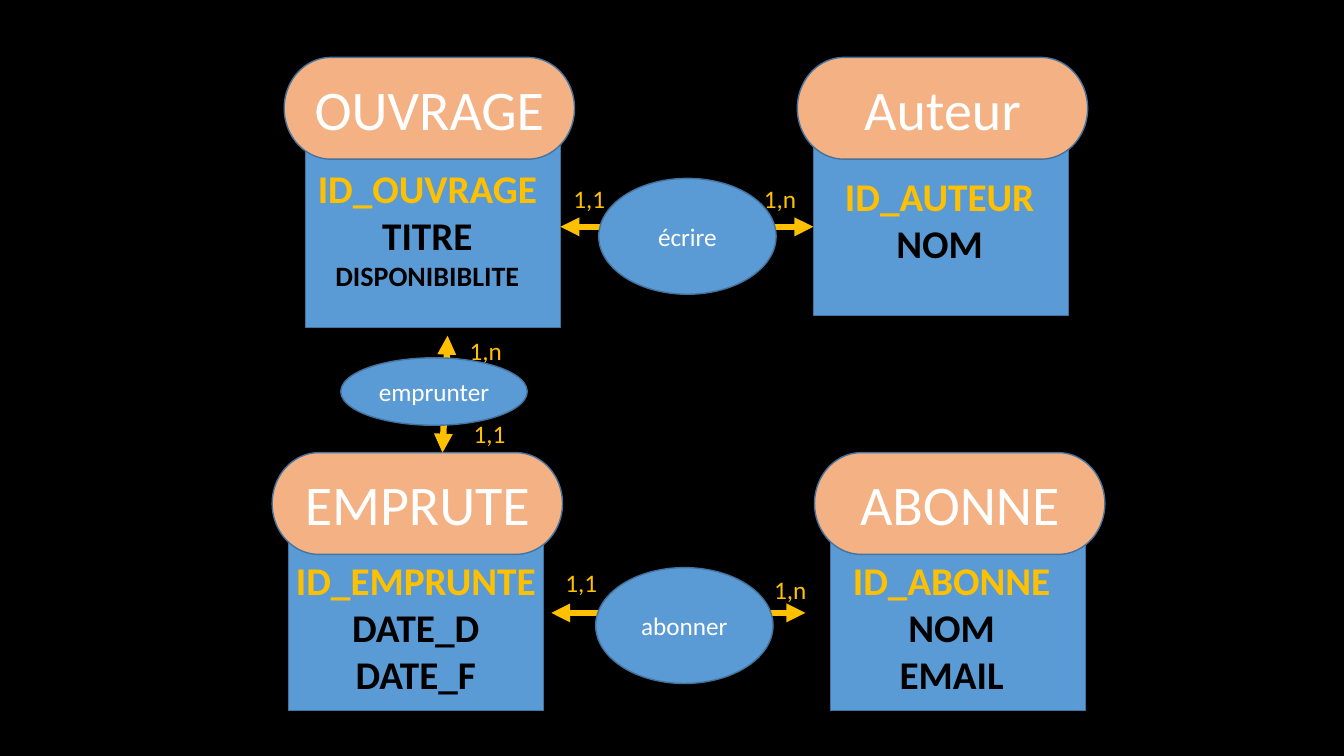
from lxml import etree
from pptx import Presentation
from pptx import util as u
from pptx.dml.color import RGBColor
from pptx.enum import shapes, text
from pptx.oxml import ns

COLOURS = {
    "night": "000000",
    "blue": "5B9BD5",
    "edge": "43739E",
    "peach": "F4B183",
    "gold": "FFC000",
    "white": "FFFFFF",
}
CAP_SIZE = (207.4, 72.7)
BODY_SIZE = (182.2, 174.2)
LABEL_SIZE = (95.8, 28.8)

ENTITIES = [
    {"name": "Auteur", "cap": (569.5, 41), "body": (581, 51.1),
     "area": (592.6, 119.5, 157, 74.9),
     "fields": [("ID_AUTEUR", 28), ("NOM", 28)]},
    {"name": "OUVRAGE", "cap": (203, 41), "body": (218.2, 59.8),
     "area": (216.7, 113.8, 177.1, 99.4),
     "fields": [("ID_OUVRAGE", 28), ("TITRE", 28), ("DISPONIBIBLITE", 20)]},
    {"name": "ABONNE", "cap": (581.8, 323.3), "body": (593.3, 333.4),
     "area": (601.2, 393.8, 157, 108.7),
     "fields": [("ID_ABONNE", 28), ("NOM", 28), ("EMAIL", 28)]},
    {"name": "EMPRUTE", "cap": (194.4, 323.3), "body": (205.9, 333.4),
     "area": (199.4, 393.8, 195.1, 108.7),
     "fields": [("ID_EMPRUNTE", 28), ("DATE_D", 28), ("DATE_F", 28)]},
]
LINKS = [
    (400.3, 162, 581, 162),
    (316.1, 323.3, 319.7, 239.8),
    (393.8, 437.8, 575.3, 437.8),
]
CARDINALITIES = [
    ("1,1", 402.5, 127.4), ("1,n", 538.6, 127.4),
    ("1,n", 328.3, 236.2), ("1,1", 331.2, 295.2),
    ("1,1", 396.7, 401.8), ("1,n", 545.8, 406.8),
]
RELATIONS = [
    ("écrire", (427.7, 127.4, 126.7, 82.8)),
    ("abonner", (425.5, 405.4, 126.7, 82.8)),
    ("emprunter", (243.4, 255.6, 133.2, 48.2)),
]


def colour(name):
    """Return the named colour of the palette."""
    return RGBColor.from_string(COLOURS[name])


def points(values):
    """Convert numbers to lengths in points."""
    return [u.Pt(value) for value in values]


class Diagram:
    """Entity-relationship drawing on one page."""

    def __init__(self, page):
        """Keep the page and the shared text style."""
        self.page = page
        self.font = "Calibri"
        page.background.fill.solid()
        page.background.fill.fore_color.rgb = colour("night")

    def add_lines(self, frame, lines, align):
        """Fill a text frame with (wording, format) lines."""
        for index, (wording, style) in enumerate(lines):
            para = frame.add_paragraph() if index else frame.paragraphs[0]
            para.alignment = align
            span = para.add_run()
            span.text = wording
            span.font.color.rgb = colour(style["ink"])
            values = {"name": self.font, "size": u.Pt(style["size"]),
                      "bold": style.get("bold", False)}
            for key, value in values.items():
                setattr(span.font, key, value)

    def shape(self, kind, area, fill, wording="", size=18):
        """Draw an outlined preset shape with centred white wording."""
        box = self.page.shapes.add_shape(kind, *points(area))
        box.shadow.inherit = False
        box.fill.solid()
        box.fill.fore_color.rgb = colour(fill)
        box.line.color.rgb = colour("edge")
        box.line.width = u.Pt(1)
        if wording:
            box.text_frame.vertical_anchor = text.MSO_ANCHOR.MIDDLE
            self.add_lines(box.text_frame,
                           [(wording, {"size": size, "ink": "white"})],
                           text.PP_ALIGN.CENTER)

    def textbox(self, area, lines, align):
        """Place a wrapped text box that grows with its wording."""
        frame = self.page.shapes.add_textbox(*points(area)).text_frame
        values = {"word_wrap": True,
                  "auto_size": text.MSO_AUTO_SIZE.SHAPE_TO_FIT_TEXT}
        for key, value in values.items():
            setattr(frame, key, value)
        self.add_lines(frame, lines, align)

    def entity(self, name, cap, body, area, fields):
        """Draw a table of fields under its name."""
        self.shape(shapes.MSO_SHAPE.RECTANGLE, body + BODY_SIZE, "blue")
        self.shape(shapes.MSO_SHAPE.FLOWCHART_TERMINATOR, cap + CAP_SIZE,
                   "peach", name, 40)
        lines = [(field, {"size": size, "bold": True,
                          "ink": "night" if index else "gold"})
                 for index, (field, size) in enumerate(fields)]
        self.textbox(area, lines, text.PP_ALIGN.CENTER)

    def link(self, ends):
        """Draw a gold line with an arrowhead at both ends."""
        connector = self.page.shapes.add_connector(
            shapes.MSO_CONNECTOR.STRAIGHT, *points(ends))
        connector.line.color.rgb = colour("gold")
        connector.line.width = u.Pt(4.5)
        properties = connector.element.spPr
        outline = properties.find(ns.qn("a:ln"))
        for end in ("a:headEnd", "a:tailEnd"):
            etree.SubElement(outline, ns.qn(end), type="triangle")
        etree.SubElement(properties, ns.qn("a:effectLst"))

    def cardinality(self, wording, left, top):
        """Place the cardinality beside a link."""
        self.textbox((left, top) + LABEL_SIZE,
                     [(wording, {"size": 18, "ink": "gold"})], text.PP_ALIGN.LEFT)

    def relation(self, name, area):
        """Draw the ellipse that names a relation."""
        self.shape(shapes.MSO_SHAPE.OVAL, area, "blue", name)


def main():
    """Build the deck and save it."""
    deck = Presentation()
    deck.slide_width, deck.slide_height = points((960, 540))
    diagram = Diagram(deck.slides.add_slide(deck.slide_layouts[6]))
    for entity in ENTITIES:
        diagram.entity(**entity)
    for ends in LINKS:
        diagram.link(ends)
    for label in CARDINALITIES:
        diagram.cardinality(*label)
    for relation in RELATIONS:
        diagram.relation(*relation)
    deck.save("out.pptx")


if __name__ == "__main__":
    main()
